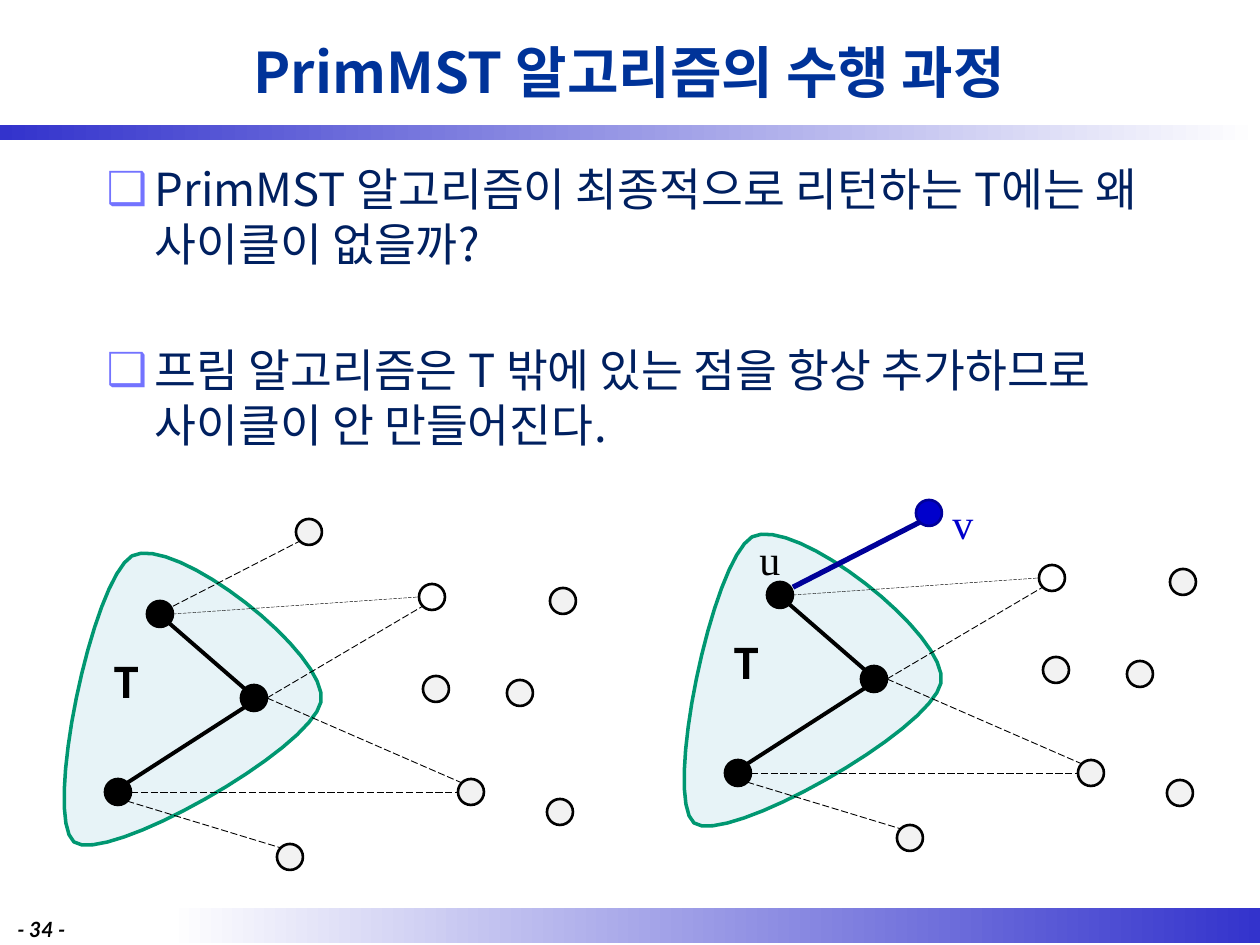
from dataclasses import dataclass

from lxml import etree
from pptx import Presentation
from pptx.dml.color import RGBColor
from pptx.enum.dml import MSO_LINE
from pptx.enum.shapes import MSO_CONNECTOR, MSO_SHAPE
from pptx.enum.text import MSO_ANCHOR, MSO_AUTO_SIZE, PP_ALIGN
from pptx.oxml.ns import qn
from pptx.util import Emu, Pt

STRAIGHT = MSO_CONNECTOR.STRAIGHT
LONG_DASH = MSO_LINE.LONG_DASH
OVAL, RECTANGLE = MSO_SHAPE.OVAL, MSO_SHAPE.RECTANGLE
CENTER, LEFT = PP_ALIGN.CENTER, PP_ALIGN.LEFT
MIDDLE, TOP = MSO_ANCHOR.MIDDLE, MSO_ANCHOR.TOP
NO_FIT = MSO_AUTO_SIZE.NONE

EMU_PER_PX = 914400 / 126
RADIUS = 13
CURVE_STEPS = 16


@dataclass(frozen=True)
class Theme:
    """Colours, fonts and type sizes of the slide."""
    title: str = "003399"
    body: str = "002060"
    bullet: str = "7373FF"
    bar: str = "3333CC"
    white: str = "FFFFFF"
    black: str = "000000"
    outside: str = "F2F2F2"
    new_node: str = "0000CC"
    new_edge: str = "000099"
    tree_fill: str = "DBEEF4"
    tree_line: str = "009771"
    sans: str = "Noto Sans CJK KR"
    serif: str = "Times New Roman"
    footer: str = "Lato"
    title_size: int = 32
    body_size: int = 26
    label_size: int = 24
    footer_size: int = 12


THEME = Theme()

EAST, WEST = (1, 0), (-1, 0)
NORTH_EAST, NORTH_WEST = (0.7, -0.7), (-0.7, -0.7)
SOUTH_EAST, SOUTH_WEST = (0.7, 0.7), (-0.7, 0.7)
EAST_NORTH_EAST = (1, -0.6)

TREE_NODES = {"upper": (160, 614), "middle": (254, 698), "lower": (118, 792)}
OUTSIDE_NODES = {
    "new": (309, 532), "near": (432, 597), "far": (471, 792), "bottom": (290, 857),
    "right": (563, 601), "inner": (436, 689), "centre": (520, 693), "corner": (560, 812),
}
NODES = TREE_NODES | OUTSIDE_NODES
TREE_EDGES = [
    ("upper", SOUTH_EAST, "middle", NORTH_WEST),
    ("middle", SOUTH_WEST, "lower", NORTH_EAST),
]
CANDIDATE_EDGES = [
    ("middle", EAST, "far", NORTH_WEST, 0.5),
    ("lower", EAST, "far", WEST, 0.5),
    ("upper", EAST, "near", WEST, 0.25),
    ("lower", SOUTH_EAST, "bottom", NORTH_WEST, 0.5),
    ("middle", EAST, "near", SOUTH_WEST, 0.5),
]
NEW_EDGE = ("upper", EAST_NORTH_EAST, "new", SOUTH_WEST)
TREE_OUTLINE = [
    ((74, 842), (43, 816), (92, 580), (132, 556)),
    ((132, 556), (174, 533), (330, 655), (321, 702)),
    ((321, 702), (311, 750), (105, 866), (74, 842)),
]


def px(length):
    """Turn a length in px into EMU."""
    return Emu(round(length * EMU_PER_PX))


def rgb(colour):
    """Turn a hex string into a colour."""
    return RGBColor.from_string(colour)


def move(point, offset):
    """Shift a point by an offset."""
    return point[0] + offset[0], point[1] + offset[1]


def place(shape, area):
    """Set the left, top, width and height of a shape."""
    shape.left, shape.top, shape.width, shape.height = map(px, area)


def style_paragraph(para, font, size, colour, bold=False, italic=False):
    """Format a whole paragraph, with the same face for East Asian text."""
    para.font.size, para.font.name = Pt(size), font
    para.font.bold, para.font.italic = bold, italic
    para.font.color.rgb = rgb(colour)
    defaults = para._p.pPr.find(qn("a:defRPr"))
    etree.SubElement(defaults, qn("a:ea"), typeface=font)


def add_bullet(para):
    """Give a paragraph a hanging square bullet."""
    properties = para._p.pPr
    properties.set("marL", str(px(48)))
    properties.set("indent", str(px(-48)))
    defaults = properties.find(qn("a:defRPr"))
    colour = etree.Element(qn("a:buClr"))
    etree.SubElement(colour, qn("a:srgbClr"), val=THEME.bullet)
    defaults.addprevious(colour)
    defaults.addprevious(etree.Element(qn("a:buChar"), char="❑"))


def fill_title(page, text):
    """Write the title placeholder."""
    title = page.shapes.title
    place(title, (94, 6, 1071, 130))
    frame = title.text_frame
    frame.text, frame.vertical_anchor, frame.auto_size = text, MIDDLE, NO_FIT
    para = frame.paragraphs[0]
    para.alignment = CENTER
    style_paragraph(para, THEME.sans, THEME.title_size, THEME.title, bold=True)


def fill_body(page, items):
    """Write the bulleted list into the body placeholder."""
    body = page.placeholders[1]
    place(body, (94, 155, 1071, 753))
    frame = body.text_frame
    frame.text, frame.vertical_anchor, frame.auto_size = "\n".join(items), TOP, NO_FIT
    for index, para in enumerate(frame.paragraphs):
        para.space_before = Pt(41 if index else 0)
        style_paragraph(para, THEME.sans, THEME.body_size, THEME.body)
        add_bullet(para)


def add_bar(page, area, colours):
    """Add a bar that fades from left to right."""
    bar = page.shapes.add_shape(RECTANGLE, *map(px, area))
    bar.shadow.inherit = False
    bar.line.fill.background()
    bar.fill.gradient()
    bar.fill.gradient_angle = 0
    for stop, colour in zip(bar.fill.gradient_stops, colours):
        stop.color.rgb = rgb(colour)


def add_label(shapes, area, text, font, size, colour, align=LEFT, **emphasis):
    """Add a one-line text box."""
    box = shapes.add_textbox(*map(px, area))
    box.text_frame.word_wrap = True
    para = box.text_frame.paragraphs[0]
    para.text, para.alignment = text, align
    style_paragraph(para, font, size, colour, **emphasis)


def curve_points(controls):
    """Give the points along one cubic curve, after its start."""
    for step in range(1, CURVE_STEPS + 1):
        t = step / CURVE_STEPS
        weights = ((1 - t) ** 3, 3 * t * (1 - t) ** 2, 3 * t * t * (1 - t), t ** 3)
        yield tuple(sum(w * p[axis] for w, p in zip(weights, controls)) for axis in (0, 1))


def add_tree_region(shapes, offset):
    """Add the rounded region that encloses the tree."""
    start, *points = [
        tuple(map(px, move(point, offset)))
        for point in [TREE_OUTLINE[0][0], *(p for part in TREE_OUTLINE for p in curve_points(part))]
    ]
    builder = shapes.build_freeform(*start, scale=1.0)
    builder.add_line_segments(points, close=True)
    region = builder.convert_to_shape()
    region.shadow.inherit = False
    region.fill.solid()
    region.fill.fore_color.rgb = rgb(THEME.tree_fill)
    colour = region._element.spPr.find(qn("a:solidFill")).find(qn("a:srgbClr"))
    etree.SubElement(colour, qn("a:alpha"), val="66000")
    region.line.color.rgb, region.line.width = rgb(THEME.tree_line), Pt(2)


def add_edge(shapes, offset, edge, width, colour=THEME.black, dash=None):
    """Add a line between the rims of two nodes."""
    start, start_side, end, end_side = edge
    ends = [
        px(centre + RADIUS * shift)
        for name, side in ((start, start_side), (end, end_side))
        for centre, shift in zip(move(NODES[name], offset), side)
    ]
    line = shapes.add_connector(STRAIGHT, *ends)
    line.line.color.rgb, line.line.width = rgb(colour), Pt(width)
    if dash:
        line.line.dash_style = dash
    etree.SubElement(line._element.spPr, qn("a:effectLst"))


def add_node(shapes, offset, name, fill, outline=THEME.black):
    """Add one round node."""
    x, y = move(NODES[name], offset)
    node = shapes.add_shape(OVAL, *map(px, (x - RADIUS, y - RADIUS, 2 * RADIUS, 2 * RADIUS)))
    node.shadow.inherit = False
    node.fill.solid()
    node.fill.fore_color.rgb = rgb(fill)
    node.line.color.rgb, node.line.width = rgb(outline), Pt(1.5)


def add_graph(page, offset, adds_node):
    """Add a graph with its tree, and the newly added node if asked."""
    shapes = page.shapes.add_group_shape().shapes
    add_tree_region(shapes, offset)
    for edge in TREE_EDGES:
        add_edge(shapes, offset, edge, 2.25)
    for *edge, width in CANDIDATE_EDGES:
        add_edge(shapes, offset, edge, width, dash=LONG_DASH)
    new_style = (3, THEME.new_edge) if adds_node else (0.5, THEME.black, LONG_DASH)
    add_edge(shapes, offset, NEW_EDGE, *new_style)
    fills = dict.fromkeys(OUTSIDE_NODES, THEME.outside) | dict.fromkeys(TREE_NODES, THEME.black)
    fills["near"] = THEME.white
    outlines = {}
    if adds_node:
        fills["new"], outlines["new"] = THEME.new_node, THEME.new_edge
    for name, fill in fills.items():
        add_node(shapes, offset, name, fill, outlines.get(name, THEME.black))
    area = (*move((72, 650), offset), 110, 63)
    add_label(shapes, area, "T", THEME.sans, THEME.label_size, THEME.black, CENTER, bold=True)


def main():
    """Build the slide and save it."""
    deck = Presentation()
    deck.slide_width, deck.slide_height = px(1260), px(945)
    page = deck.slides.add_slide(deck.slide_layouts[1])
    add_bar(page, (168, 908, 1092, 35), (THEME.white, THEME.bar))
    add_bar(page, (0, 125, 1260, 15), (THEME.bar, THEME.white))
    fill_title(page, "PrimMST 알고리즘의 수행 과정")
    fill_body(page, [
        "PrimMST 알고리즘이 최종적으로 리턴하는 T에는 왜 사이클이 없을까?",
        "프림 알고리즘은 T 밖에 있는 점을 항상 추가하므로 사이클이 안 만들어진다.",
    ])
    add_label(page.shapes, (5, 910, 89, 30), "- 34 -", THEME.footer, THEME.footer_size,
              THEME.black, bold=True, italic=True)
    add_graph(page, (620, -19), adds_node=True)
    add_graph(page, (0, 0), adds_node=False)
    for text, left, top, colour in (("u", 747, 527, THEME.black), ("v", 940, 491, THEME.new_node)):
        add_label(page.shapes, (left, top, 42, 63), text, THEME.serif, THEME.label_size, colour)
    deck.save("out.pptx")


if __name__ == "__main__":
    main()
